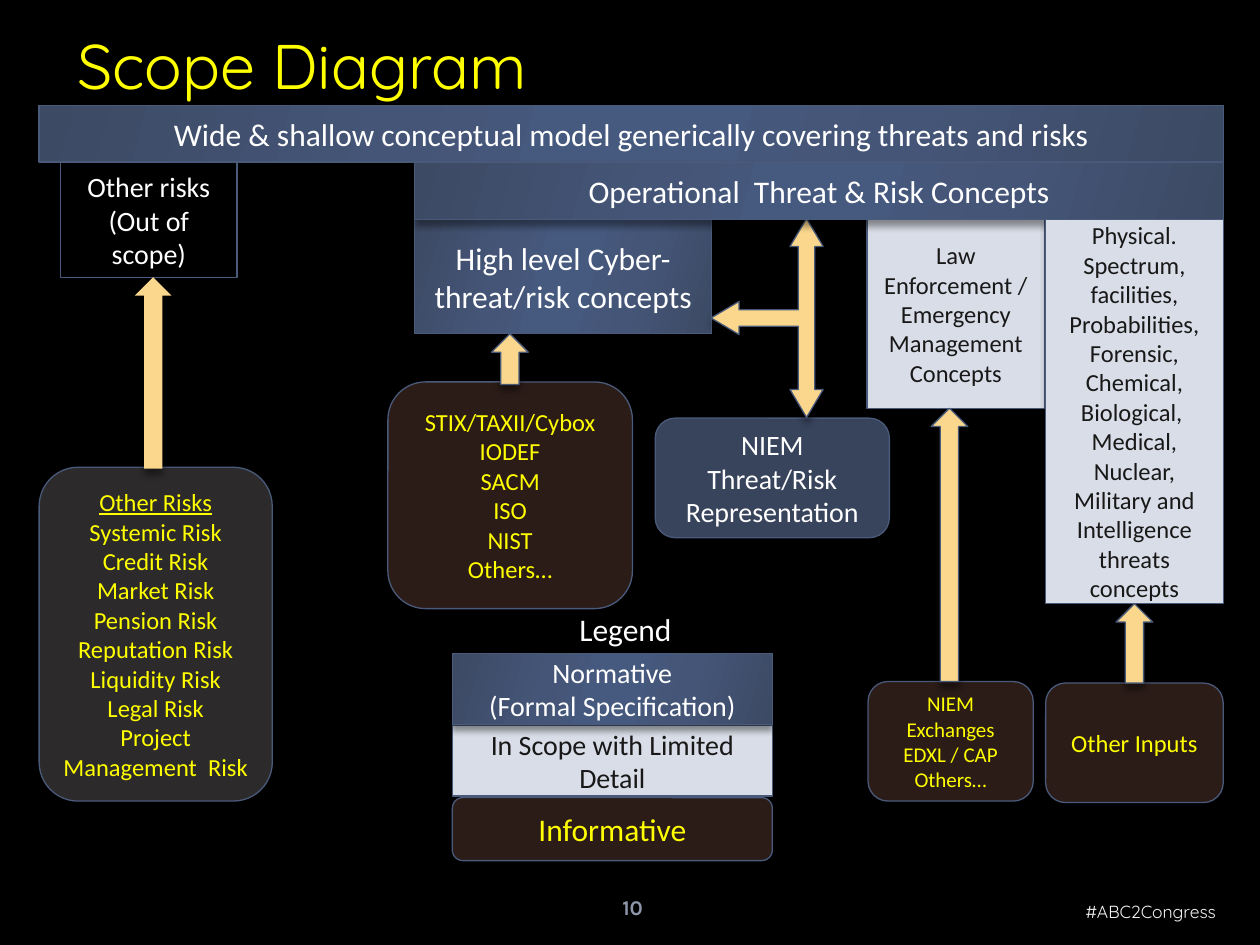
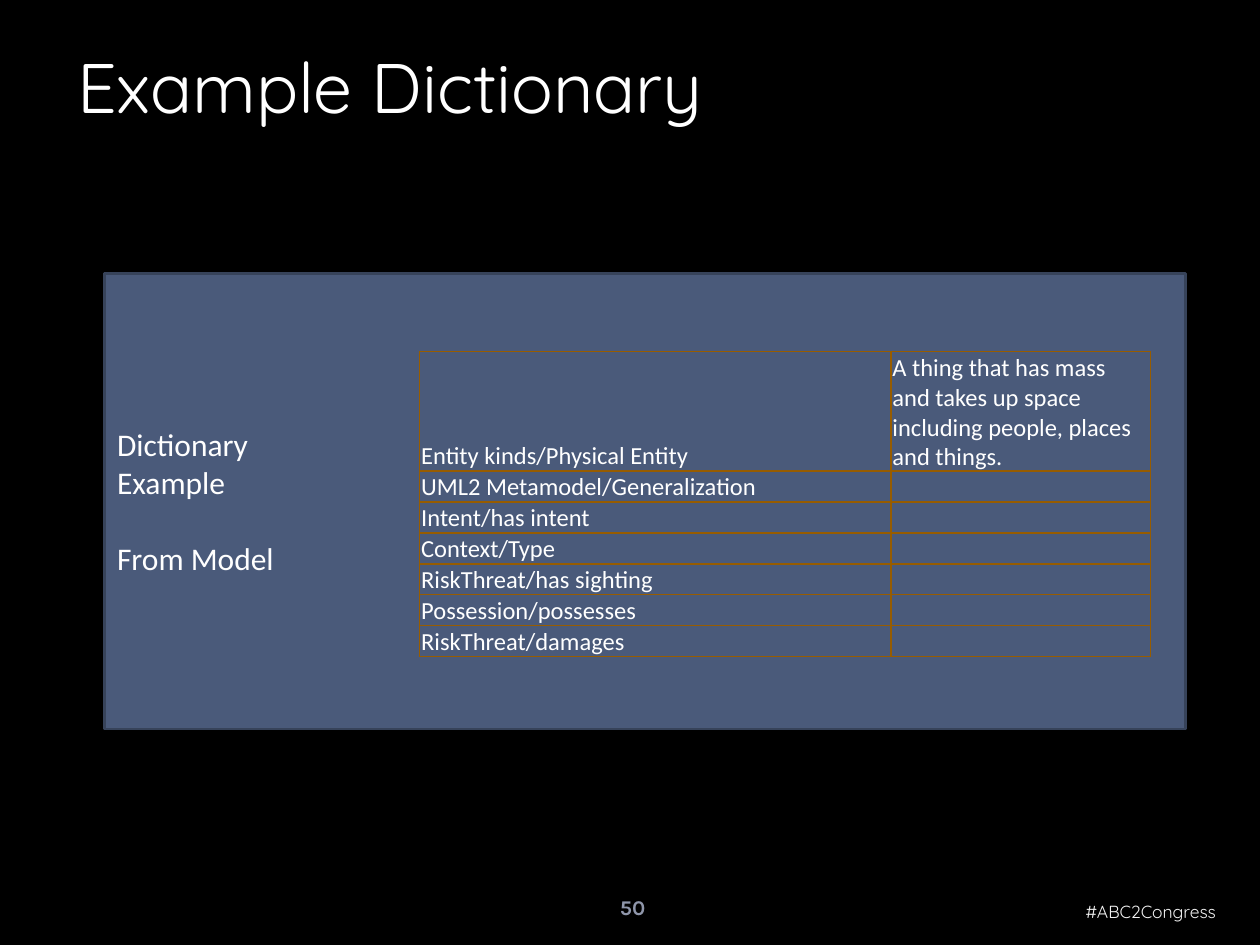
from dataclasses import dataclass
from typing import Optional

from lxml import etree
from pptx import Presentation
from pptx import util as u
from pptx.dml import color as dml
from pptx.enum import shapes, text
from pptx.oxml import ns

RECTANGLE = shapes.MSO_SHAPE.RECTANGLE
ROUNDED = shapes.MSO_SHAPE.ROUNDED_RECTANGLE
UP_ARROW = shapes.MSO_SHAPE.UP_ARROW
THREE_WAY_ARROW = shapes.MSO_SHAPE.LEFT_RIGHT_UP_ARROW
CENTER, LEFT, RIGHT = text.PP_ALIGN.CENTER, text.PP_ALIGN.LEFT, text.PP_ALIGN.RIGHT
TITLE_ONLY = 5


@dataclass(frozen=True)
class Theme:
    background: str = "000000"
    white: str = "FFFFFF"
    yellow: str = "FFFF00"
    ink: str = "191818"
    slate: str = "4A5A7A"
    panel_edge: str = "37435A"
    navy: str = "38435C"
    pale: str = "D8DDE7"
    sand: str = "FAD78C"
    brown: str = "583A31"
    gray: str = "5B5758"
    page_number: str = "8F96AA"
    hashtag: str = "F2F2F2"
    grid: str = "975C00"
    gradient: tuple = ((0, "3D4A64"), (30, "445577"), (45, "46597E"),
                       (55, "46597E"), (73, "445577"), (100, "3D4A64"))
    body_font: str = "Calibri"
    title_font: str = "Quicksand"
    number_font: str = "Karla"
    large: int = 18
    medium: int = 16
    normal: int = 14
    small: int = 12
    tiny: int = 10


THEME = Theme()


@dataclass(frozen=True)
class Style:
    """A fill of None stands for the theme's gradient."""
    fill: Optional[str]
    ink: str = THEME.white
    opacity: int = 100
    line: Optional[str] = THEME.slate
    line_width: float = 0.75
    shadow: bool = True


NORMATIVE = Style(None)
LIMITED = Style(THEME.pale, THEME.ink)
INFORMATIVE = Style(THEME.brown, THEME.yellow, opacity=49)
OUT_OF_SCOPE = Style(THEME.background)
OTHER_RISKS = Style(THEME.gray, THEME.yellow, opacity=49)
REPRESENTATION = Style(THEME.navy)
ARROW = Style(THEME.sand)
PLAIN_ARROW = Style(THEME.sand, line=None)
PANEL = Style(THEME.slate, line=THEME.panel_edge, line_width=1.5, shadow=False)


@dataclass(frozen=True)
class Block:
    """A preset shape; lengths are in centimetres."""
    left: float
    top: float
    width: float
    height: float
    style: Style
    lines: tuple = ()
    size: int = THEME.normal
    preset: shapes.MSO_SHAPE = RECTANGLE
    underline_first: bool = False
    align: text.PP_ALIGN = CENTER
    rotation: int = 0
    adjustments: tuple = ()


def up_arrow(left: float, top: float, height: float, style: Style = ARROW) -> Block:
    return Block(left, top, 0.74, height, style, preset=UP_ARROW)


BAND_HEIGHT = 1.14
TOP_BAND, SECOND_BAND, CONCEPTS = 2.13, 3.28, 4.42
LEGEND_LEFT, LEGEND_WIDTH = 9.12, 6.45
CONCEPT_WIDTH, INPUT_HEIGHT = 3.58, 2.41

SCOPE_BLOCKS = (
    Block(0.79, TOP_BAND, 23.88, BAND_HEIGHT, NORMATIVE,
          ("Wide & shallow conceptual model generically covering threats and risks",),
          THEME.large),
    Block(8.36, CONCEPTS, 5.99, 2.31, NORMATIVE,
          ("High level Cyber-threat/risk concepts",), THEME.large),
    Block(17.48, CONCEPTS, CONCEPT_WIDTH, 3.81, LIMITED,
          ("Law Enforcement / Emergency Management Concepts",)),
    Block(13.21, 8.43, 4.72, INPUT_HEIGHT, REPRESENTATION,
          ("NIEM Threat/Risk Representation",), THEME.medium, ROUNDED),
    Block(13.46, 5.28, 4.01, 2.26, ARROW, preset=THREE_WAY_ARROW,
          rotation=270, adjustments=(0.147, 0.148, 0.25)),
    Block(17.5, 13.74, 3.33, INPUT_HEIGHT, INFORMATIVE,
          ("NIEM Exchanges", "EDXL / CAP", "Others…"), THEME.small, ROUNDED),
    Block(7.82, 7.7, 4.93, 4.57, INFORMATIVE,
          ("STIX/TAXII/Cybox", "IODEF", "SACM", "ISO", "NIST", "Others…"),
          preset=ROUNDED),
    up_arrow(18.77, 8.23, 5.51),
    Block(8.36, SECOND_BAND, 16.31, BAND_HEIGHT, NORMATIVE,
          ("Operational  Threat & Risk Concepts",), THEME.large),
    Block(1.22, SECOND_BAND, 3.56, 2.31, OUT_OF_SCOPE,
          ("Other risks (Out of scope)",), THEME.medium),
    up_arrow(9.91, 6.73, 1.02),
    Block(0.79, 9.42, 4.7, 6.73, OTHER_RISKS,
          ("Other Risks", "Systemic Risk", "Credit Risk", "Market Risk",
           "Pension Risk", "Reputation Risk", "Liquidity Risk", "Legal Risk",
           "Project Management  Risk"), preset=ROUNDED, underline_first=True),
    up_arrow(2.72, 5.59, 3.86, PLAIN_ARROW),
    Block(21.08, CONCEPTS, CONCEPT_WIDTH, 7.75, LIMITED,
          ("Physical. Spectrum, facilities,",
           "Probabilities, Forensic, Chemical, Biological,  Medical, Nuclear, "
           "Military and Intelligence threats concepts")),
    Block(21.08, 13.77, CONCEPT_WIDTH, INPUT_HEIGHT, INFORMATIVE,
          ("Other Inputs",), preset=ROUNDED),
    up_arrow(22.5, 12.17, 1.6),
    Block(LEGEND_LEFT, 14.63, LEGEND_WIDTH, 1.42, LIMITED,
          ("In Scope with Limited Detail",), THEME.medium),
    Block(LEGEND_LEFT, 13.18, LEGEND_WIDTH, 1.42, NORMATIVE,
          ("Normative", "(Formal Specification)"), THEME.medium),
    Block(LEGEND_LEFT, 16.08, LEGEND_WIDTH, 1.27, INFORMATIVE,
          ("Informative",), THEME.large, ROUNDED),
)

DICTIONARY_PANEL = Block(2.11, 5.51, 21.79, 9.19, PANEL,
                         ("Dictionary", "Example", "From Model"), THEME.large, align=LEFT)
DICTIONARY = (
    ("Entity kinds/Physical Entity",
     "A thing that has mass and takes up space including people, places and things."),
    ("UML2 Metamodel/Generalization", ""),
    ("Intent/has intent", ""),
    ("Context/Type", ""),
    ("RiskThreat/has sighting", ""),
    ("Possession/possesses", ""),
    ("RiskThreat/damages", ""),
)


def rgb(value: str) -> dml.RGBColor:
    return dml.RGBColor.from_string(value)


def add_child(parent, tag: str, **attributes):
    return etree.SubElement(parent, ns.qn(tag),
                            {name: str(value) for name, value in attributes.items()})


def write(frame, lines, *, size: float, color: str, font: str = THEME.body_font,
          align=LEFT, anchor=text.MSO_ANCHOR.MIDDLE, bold: bool = False,
          underline_first: bool = False, space_before: float = 0, wrap: bool = True) -> None:
    frame.word_wrap = wrap
    frame.vertical_anchor = anchor
    for index, line in enumerate(lines):
        paragraph = frame.paragraphs[0] if index == 0 else frame.add_paragraph()
        paragraph.alignment = align
        paragraph.space_before = u.Pt(space_before)
        if not line:
            paragraph._p.get_or_add_endParaRPr().set("sz", str(size * 100))
            continue
        run = paragraph.add_run()
        run.text = line
        run.font.name, run.font.size, run.font.bold = font, u.Pt(size), bold
        run.font.color.rgb = rgb(color)
        if underline_first and index == 0:
            run.font.underline = True


def paint(shape, style: Style) -> None:
    """Set fill, outline and shadow."""
    properties = shape._element.spPr
    if style.fill is None:
        shape.fill.gradient()
        shape.fill.gradient_angle = 344
        stops = properties.find(".//" + ns.qn("a:gsLst"))
        for stop in list(stops):
            stops.remove(stop)
        for position, color in THEME.gradient:
            stop = add_child(stops, "a:gs", pos=position * 1000)
            add_child(stop, "a:srgbClr", val=color)
    else:
        shape.fill.solid()
        shape.fill.fore_color.rgb = rgb(style.fill)
        if style.opacity < 100:
            solid_color = properties.find(ns.qn("a:solidFill"))[0]
            add_child(solid_color, "a:alpha", val=style.opacity * 1000)
    if style.line:
        shape.line.color.rgb = rgb(style.line)
        shape.line.width = u.Pt(style.line_width)
    else:
        shape.line.fill.background()
    shape.shadow.inherit = False
    if style.shadow:
        effects = properties.find(ns.qn("a:effectLst"))
        shadow = add_child(effects, "a:outerShdw", blurRad=u.Pt(4), dist=u.Pt(3.4),
                           dir=90 * 60000, rotWithShape=0)
        shadow_color = add_child(shadow, "a:srgbClr", val="000000")
        add_child(shadow_color, "a:alpha", val=40000)


def add_block(slide, block: Block):
    shape = slide.shapes.add_shape(block.preset, u.Cm(block.left), u.Cm(block.top),
                                   u.Cm(block.width), u.Cm(block.height))
    shape.rotation = block.rotation
    for index, value in enumerate(block.adjustments):
        shape.adjustments[index] = value
    paint(shape, block.style)
    write(shape.text_frame, block.lines, size=block.size, color=block.style.ink,
          align=block.align, underline_first=block.underline_first)
    return shape


def add_label(slide, left: float, top: float, width: float, height: float,
              label: str, **text_format) -> None:
    box = slide.shapes.add_textbox(u.Cm(left), u.Cm(top), u.Cm(width), u.Cm(height))
    write(box.text_frame, (label,), **text_format)


def add_slide(presentation, title: str, page: int, *, height: float, size: int, color: str):
    """Add a slide with its title, page number and hashtag."""
    slide = presentation.slides.add_slide(presentation.slide_layouts[TITLE_ONLY])
    heading = slide.shapes.title
    heading.left, heading.top = u.Cm(1.3), u.Cm(0.41)
    heading.width, heading.height = u.Cm(22.28), u.Cm(height)
    heading.text_frame.auto_size = text.MSO_AUTO_SIZE.NONE
    write(heading.text_frame, (title,), size=size, color=color,
          font=THEME.title_font, space_before=4)
    add_label(slide, 12.17, 17.78, 1.17, 1.02, str(page), size=THEME.small,
              color=THEME.page_number, font=THEME.number_font, align=CENTER, bold=True)
    add_label(slide, 20.57, 18.03, 4.19, 0.69, "#ABC2Congress", size=THEME.tiny,
              color=THEME.hashtag, font=THEME.title_font, align=RIGHT,
              anchor=text.MSO_ANCHOR.TOP)
    return slide


def add_dictionary(slide) -> None:
    column_widths = (9.5, 5.23)
    row_heights = (1.57,) + (0.53,) * (len(DICTIONARY) - 1)
    table = slide.shapes.add_table(len(DICTIONARY), len(column_widths), u.Cm(8.46), u.Cm(7.09),
                                   u.Cm(sum(column_widths)), u.Cm(sum(row_heights))).table
    table.first_row = table.horz_banding = False
    for column, width in zip(table.columns, column_widths):
        column.width = u.Cm(width)
    for row, height, entries in zip(table.rows, row_heights, DICTIONARY):
        row.height = u.Cm(height)
        for cell, entry in zip(row.cells, entries):
            cell.margin_left = cell.margin_right = cell.margin_top = u.Cm(0.03)
            cell.margin_bottom = 0
            write(cell.text_frame, (entry,), size=THEME.normal, color=THEME.white)
            cell.vertical_anchor = text.MSO_ANCHOR.BOTTOM
            for side in "LRTB":
                border = add_child(cell._tc.get_or_add_tcPr(), f"a:ln{side}", w=u.Pt(1))
                add_child(add_child(border, "a:solidFill"), "a:srgbClr", val=THEME.grid)
            cell.fill.background()


def build_scope_slide(presentation) -> None:
    slide = add_slide(presentation, "Scope Diagram", 10, height=1.78, size=36,
                      color=THEME.yellow)
    for block in SCOPE_BLOCKS:
        add_block(slide, block)
    add_label(slide, 11.43, 12.17, 2.39, 1.02, "Legend", size=THEME.large,
              color=THEME.white, anchor=text.MSO_ANCHOR.TOP, wrap=False)


def build_dictionary_slide(presentation) -> None:
    slide = add_slide(presentation, "Example Dictionary", 50, height=2.64, size=40,
                      color=THEME.white)
    panel = add_block(slide, DICTIONARY_PANEL)
    panel.text_frame.paragraphs[-1].space_before = u.Pt(22)
    add_dictionary(slide)


def main() -> None:
    presentation = Presentation()
    presentation.slide_width, presentation.slide_height = u.Cm(25.4), u.Cm(19.05)
    background = presentation.slide_master.background.fill
    background.solid()
    background.fore_color.rgb = rgb(THEME.background)
    build_scope_slide(presentation)
    build_dictionary_slide(presentation)
    presentation.save("out.pptx")


if __name__ == "__main__":
    main()
